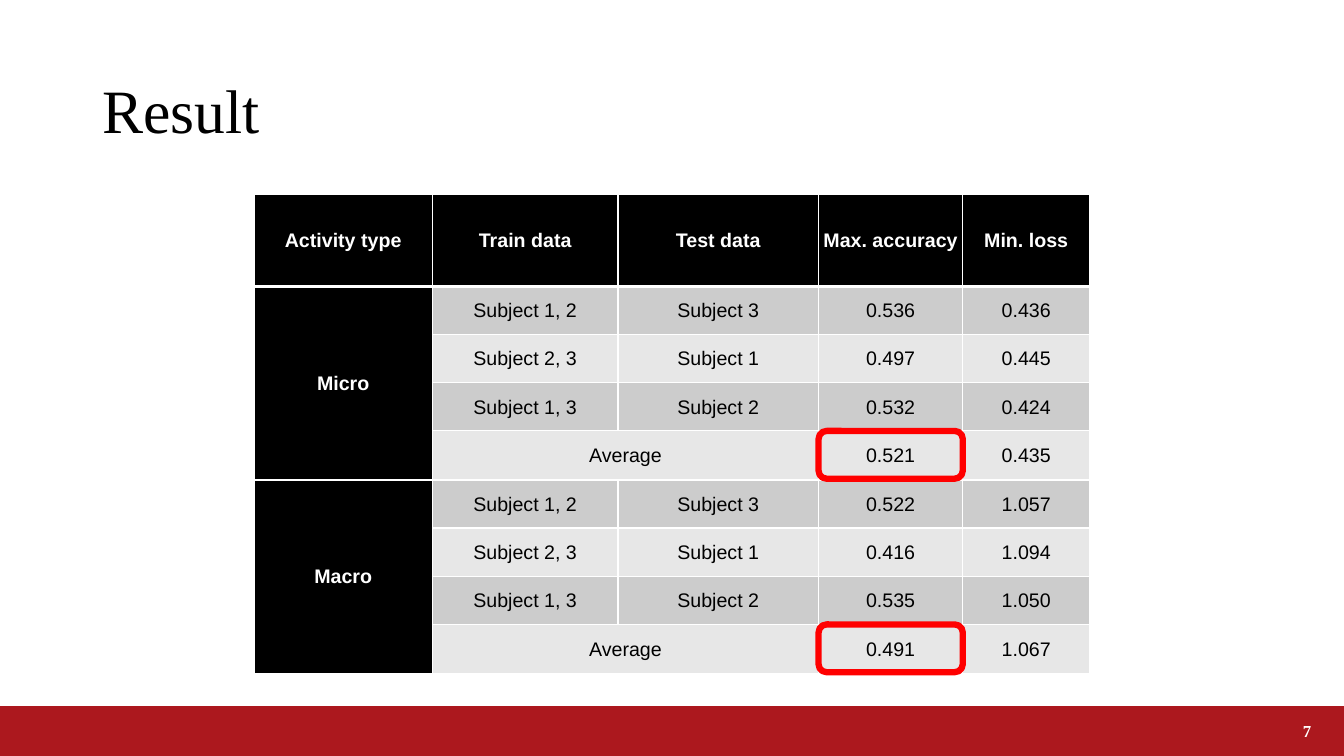
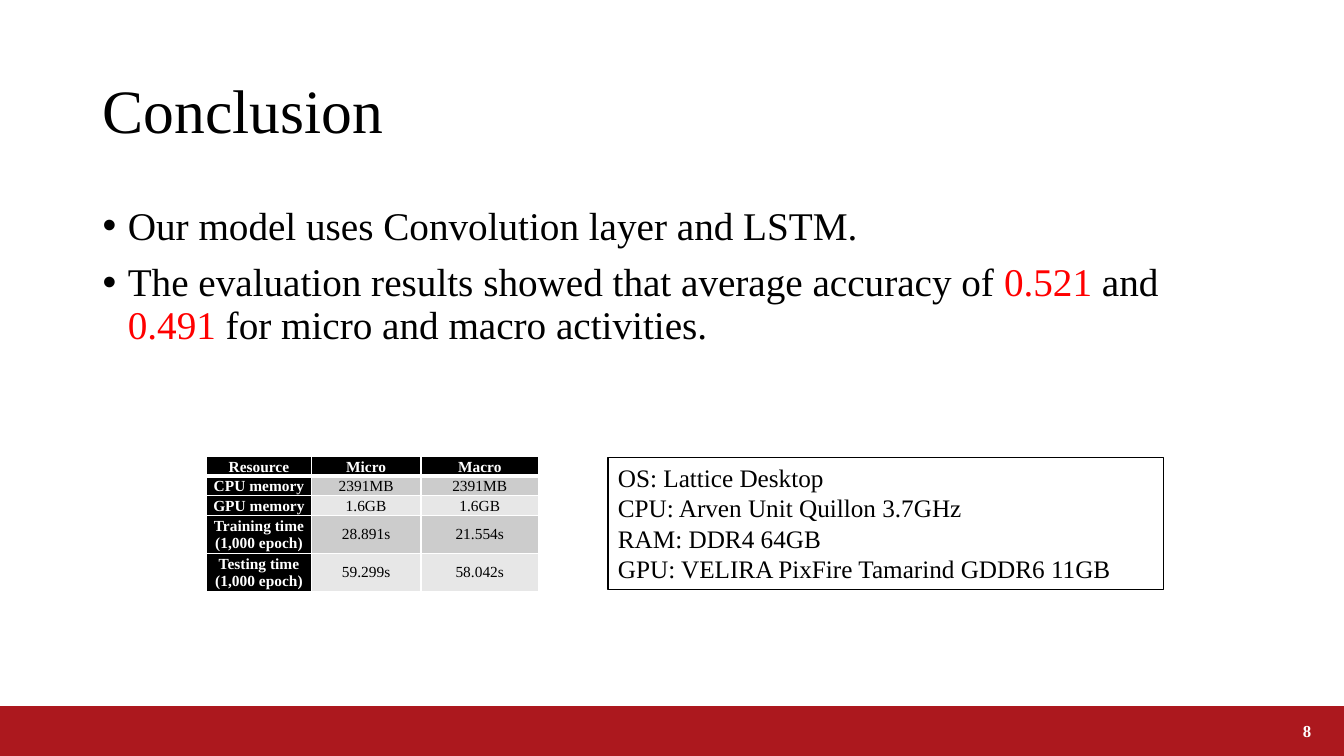
import pptx
import pptx.dml.color
import pptx.enum.shapes
import pptx.enum.text
import pptx.oxml
import pptx.oxml.ns
import pptx.util

RGB = pptx.dml.color.RGBColor
SHAPE = pptx.enum.shapes.MSO_SHAPE
ALIGN = pptx.enum.text.PP_ALIGN
ANCHOR = pptx.enum.text.MSO_ANCHOR
Pt = pptx.util.Pt

BLACK = RGB(0x00, 0x00, 0x00)
WHITE = RGB(0xFF, 0xFF, 0xFF)
CRIMSON = RGB(0xAC, 0x18, 0x1E)
RED = RGB(0xFF, 0x00, 0x00)
BANDS = (RGB(0xCC, 0xCC, 0xCC), RGB(0xE7, 0xE7, 0xE7))
SERIF = "Times New Roman"
SANS = "Arial"

SLIDE_W = pptx.util.Inches(13.33)
SLIDE_H = pptx.util.Inches(7.5)

# Boxes on a grid of 100 columns by 100 rows: left, top, width, height
FOOTER = (0, 93.4, 100, 6.6)
NUMBER = (90.65, 93.4, 7.65, 6.6)
TITLE = (6.9, 5.33, 86.25, 19.33)
BODY = (6.9, 26.65, 86.25, 20.27)
RESULTS = (18.9, 25.7, 62.19, 63.4)
RESOURCES = (15.38, 60.4, 24.7, 17.4)
MACHINE = (45.24, 60.53, 41.34, 17.47)


def place(box):
    """Turn a grid box into slide lengths."""
    return [int(n * side / 100) for n, side in zip(box, (SLIDE_W, SLIDE_H) * 2)]


def split(total, weights):
    """Share a length out by weight."""
    return [int(total * w / sum(weights)) for w in weights]


def add_run(p, text, size, color=BLACK, bold=False, font=SERIF):
    r = p.add_run()
    r.text = text
    r.font.size, r.font.bold, r.font.name = Pt(size), bold, font
    r.font.color.rgb = color


def add_shape(s, kind, rect, fill=None, line=None, width=1):
    sp = s.shapes.add_shape(kind, *rect)
    sp.shadow.inherit = False
    if fill is None:
        sp.fill.background()
    else:
        sp.fill.solid()
        sp.fill.fore_color.rgb = fill
    if line is None:
        sp.line.fill.background()
    else:
        sp.line.color.rgb = line
        sp.line.width = Pt(width)
    return sp


def add_text(s, box, anchor=ANCHOR.TOP):
    tf = s.shapes.add_textbox(*place(box)).text_frame
    tf.word_wrap = True
    tf.vertical_anchor = anchor
    return tf


def add_lines(tf, lines, size):
    """Write paragraphs, each a list of (text, colour) runs."""
    for i, line in enumerate(lines):
        p = tf.paragraphs[0] if i == 0 else tf.add_paragraph()
        for text, color in line:
            add_run(p, text, size, color)


def add_slide(prs, title, number):
    """Blank slide with the shared title, footer band and page number."""
    s = prs.slides.add_slide(prs.slide_layouts[6])
    add_shape(s, SHAPE.RECTANGLE, place(FOOTER), CRIMSON)
    tf = add_text(s, TITLE, ANCHOR.MIDDLE)
    add_lines(tf, [[(title, BLACK)]], 44)
    tf.paragraphs[0].line_spacing = 0.9
    p = add_text(s, NUMBER, ANCHOR.MIDDLE).paragraphs[0]
    p.alignment = ALIGN.RIGHT
    add_run(p, str(number), 12, WHITE, True)
    return s


def set_borders(cell, top, bottom):
    tc_pr = cell._tc.get_or_add_tcPr()
    for i, (side, width) in enumerate(zip("LRTB", (1, 1, top, bottom))):
        tc_pr.insert(i, pptx.oxml.parse_xml(
            f'<a:ln{side} {pptx.oxml.ns.nsdecls("a")} w="{Pt(width)}"><a:solidFill>'
            f'<a:srgbClr val="{WHITE}"/></a:solidFill></a:ln{side}>'))


def add_grid(s, box, rows, col_weights, row_weights, size, font, spans=()):
    """Banded table with a black first row and first column."""
    rect = place(box)
    tbl = s.shapes.add_table(len(rows), len(rows[0]), *rect).table
    tbl.horz_banding = False
    for col, width in zip(tbl.columns, split(rect[2], col_weights)):
        col.width = width
    for row, height in zip(tbl.rows, split(rect[3], row_weights)):
        row.height = height
    for i, row in enumerate(rows):
        for j, text in enumerate(row):
            cell = tbl.cell(i, j)
            head = i == 0 or j == 0
            set_borders(cell, 3 if i == 1 else 1, 3 if i == 0 else 1)
            cell.fill.solid()
            cell.fill.fore_color.rgb = BLACK if head else BANDS[(i - 1) % 2]
            cell.vertical_anchor = ANCHOR.MIDDLE
            cell.margin_left = cell.margin_right = cell.margin_top = Pt(0.72)
            cell.margin_bottom = 0
            if text:
                p = cell.text_frame.paragraphs[0]
                p.alignment = ALIGN.CENTER
                add_run(p, text, size, WHITE if head else BLACK, head, font)
    for r0, c0, r1, c1 in spans:
        tbl.cell(r0, c0).merge(tbl.cell(r1, c1))
    return rect, tbl


def outline_cell(s, rect, tbl, row, col):
    """Red rounded frame around one table cell."""
    left = rect[0] + sum(tbl.columns[j].width for j in range(col))
    top = rect[1] + sum(tbl.rows[i].height for i in range(row))
    cell = (left, top, tbl.columns[col].width, tbl.rows[row].height - Pt(1))
    add_shape(s, SHAPE.ROUNDED_RECTANGLE, cell, line=RED, width=4.5)


def add_bullets(s, box, lines):
    tf = add_text(s, box)
    add_lines(tf, lines, 28)
    for p in tf.paragraphs:
        p.line_spacing, p.space_before = 0.9, Pt(10)
        p_pr = p._p.get_or_add_pPr()
        p_pr.set("marL", str(Pt(18)))
        p_pr.set("indent", str(-Pt(18)))
        for tag in ('buFont typeface="Arial"', 'buChar char="•"'):
            p_pr.append(pptx.oxml.parse_xml(
                f'<a:{tag} {pptx.oxml.ns.nsdecls("a")}/>'))


def result_slide(prs):
    s = add_slide(prs, "Result", 7)
    splits = [("Subject 1, 2", "Subject 3"), ("Subject 2, 3", "Subject 1"),
              ("Subject 1, 3", "Subject 2"), ("Average", "")]
    scores = {
        "Micro": [("0.536", "0.436"), ("0.497", "0.445"),
                  ("0.532", "0.424"), ("0.521", "0.435")],
        "Macro": [("0.522", "1.057"), ("0.416", "1.094"),
                  ("0.535", "1.050"), ("0.491", "1.067")],
    }
    rows = [("Activity type", "Train data", "Test data", "Max. accuracy", "Min. loss")]
    spans, averages = [], []
    for activity, values in scores.items():
        first, last = len(rows), len(rows) + len(splits) - 1
        for i, (subjects, score) in enumerate(zip(splits, values)):
            rows.append((activity if i == 0 else "", *subjects, *score))
        spans += [(first, 0, last, 0), (last, 1, last, 2)]
        averages.append(last)
    rect, tbl = add_grid(s, RESULTS, rows, (1.77, 1.84, 1.99, 1.43, 1.26),
                         (0.92, *(0.48, 0.48, 0.48, 0.49) * 2), 14, SANS, spans)
    for row in averages:
        outline_cell(s, rect, tbl, row, 3)


def conclusion_slide(prs):
    s = add_slide(prs, "Conclusion", 8)
    add_bullets(s, BODY, [
        [("Our model uses Convolution layer and LSTM.", BLACK)],
        [("The evaluation results showed that average accuracy of ", BLACK),
         ("0.521", RED), (" and ", BLACK), ("0.491", RED),
         (" for micro and macro activities.", BLACK)],
    ])
    # Test machine
    add_shape(s, SHAPE.RECTANGLE, place(MACHINE), line=BLACK)
    specs = ("OS: Lattice Desktop", "CPU: Arven Unit Quillon 3.7GHz",
             "RAM: DDR4 64GB", "GPU: VELIRA PixFire Tamarind GDDR6 11GB")
    add_lines(add_text(s, MACHINE), [[(text, BLACK)] for text in specs], 18)
    # Resource use
    rows = [("Resource", "Micro", "Macro"),
            ("CPU memory", "2391MB", "2391MB"),
            ("GPU memory", "1.6GB", "1.6GB"),
            ("Training time (1,000 epoch)", "28.891s", "21.554s"),
            ("Testing time (1,000 epoch)", "59.299s", "58.042s")]
    add_grid(s, RESOURCES, rows, (1.04, 1.09, 1.17), (1, 1, 1, 2, 2), 11, SERIF)


def main():
    prs = pptx.Presentation()
    prs.slide_width, prs.slide_height = SLIDE_W, SLIDE_H
    result_slide(prs)
    conclusion_slide(prs)
    prs.save("out.pptx")


if __name__ == "__main__":
    main()
